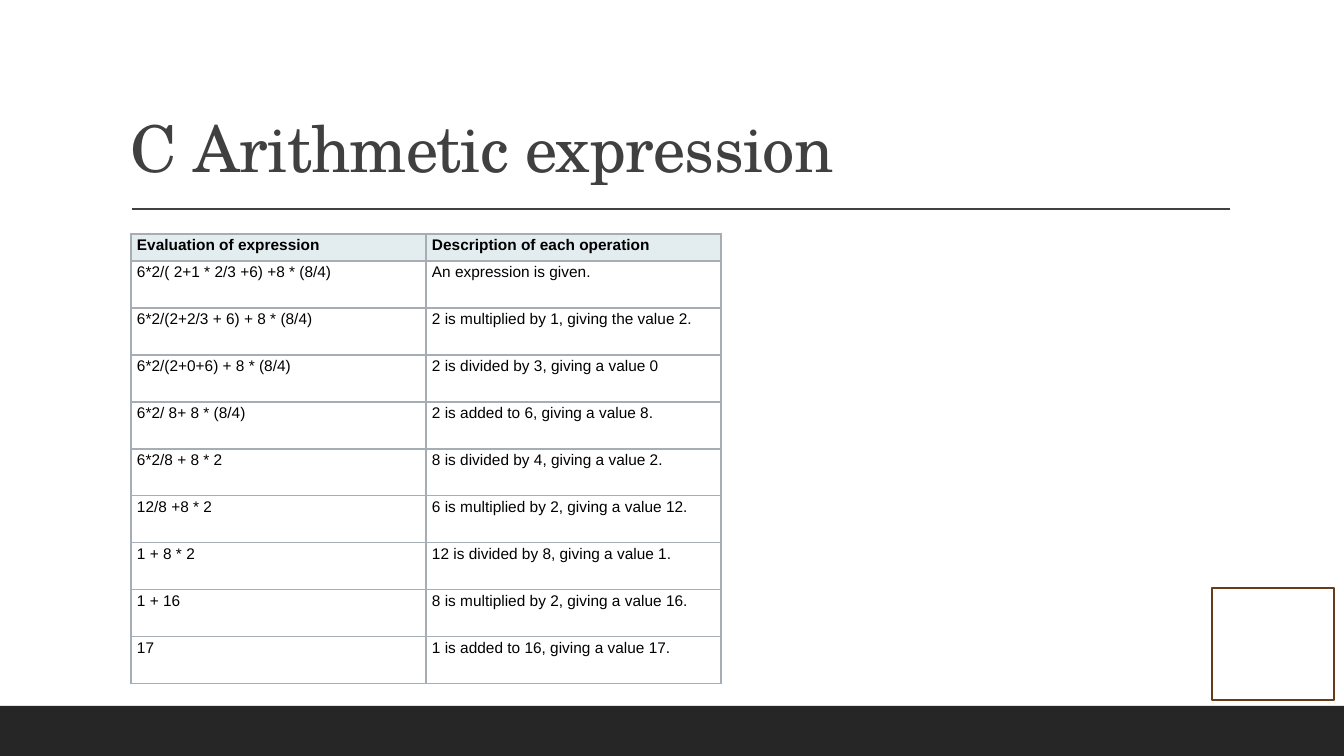
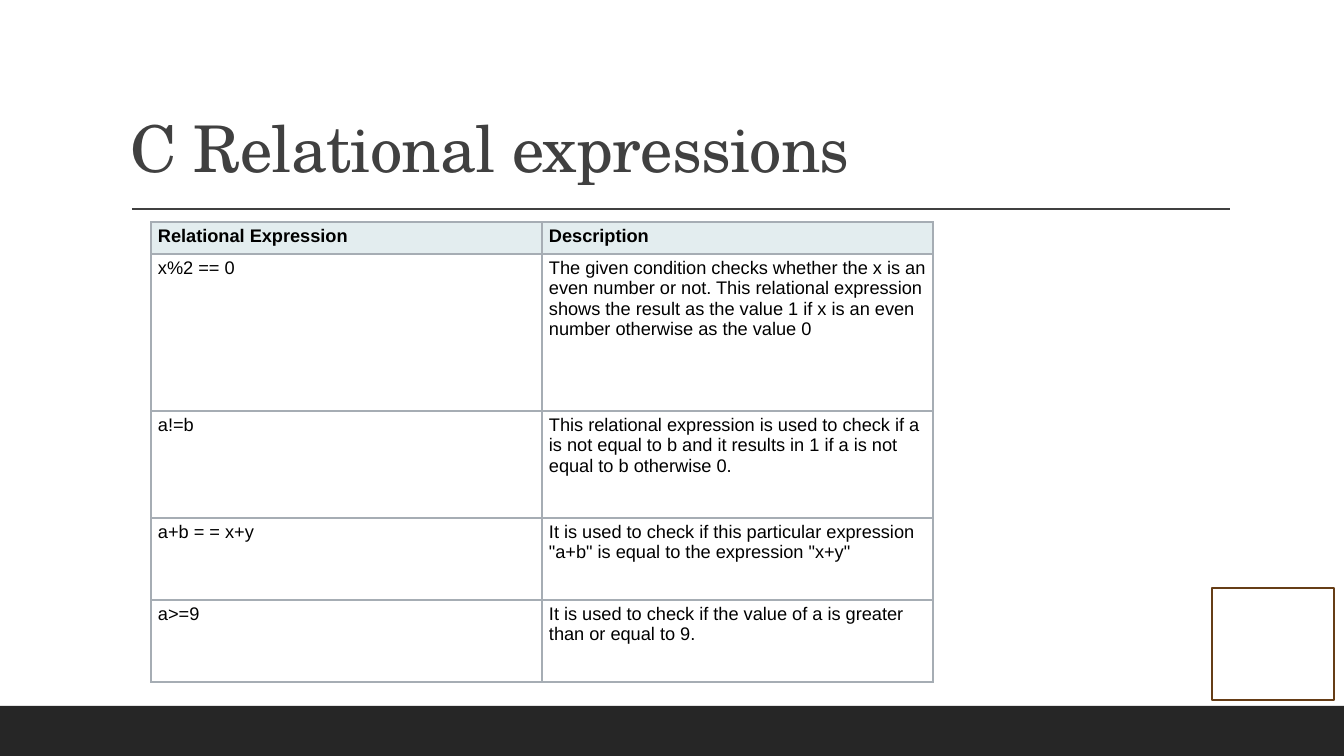
import dataclasses
import typing

import lxml.etree
import pptx
import pptx.dml.color
import pptx.enum.shapes
import pptx.enum.text
import pptx.oxml.ns
import pptx.util

SCALE = 12192000 / 1344
WIDE, HIGH = 1344, 756
DARK, INK, BROWN = "262626", "404040", "663D16"
BLACK, WHITE, HEAD, EDGE = "000000", "FFFFFF", "E3EDEF", "A6ADB4"
SERIF, SANS = "TeX Gyre Schola", "Arial"


@dataclasses.dataclass
class Grid:
    left: int
    top: int
    col: int
    rows: list[int]
    pad: tuple[int, int]
    size: int
    cells: list[tuple[str, str]]


@dataclasses.dataclass
class Page:
    title: str
    grid: Grid


PAGES = [
    Page("C Arithmetic expression", Grid(131, 234, 295, [27] + [47] * 9, (6, 3), 11, [
        ("Evaluation of expression", "Description of each operation"),
        ("6*2/( 2+1 * 2/3 +6) +8 * (8/4)", "An expression is given."),
        ("6*2/(2+2/3 + 6) + 8 * (8/4)", "2 is multiplied by 1, giving the value 2."),
        ("6*2/(2+0+6) + 8 * (8/4)", "2 is divided by 3, giving a value 0"),
        ("6*2/ 8+ 8 * (8/4)", "2 is added to 6, giving a value 8."),
        ("6*2/8 + 8 * 2", "8 is divided by 4, giving a value 2."),
        ("12/8 +8 * 2", "6 is multiplied by 2, giving a value 12."),
        ("1 + 8 * 2", "12 is divided by 8, giving a value 1."),
        ("1 + 16", "8 is multiplied by 2, giving a value 16."),
        ("17", "1 is added to 16, giving a value 17."),
    ])),
    Page("C Relational expressions", Grid(151, 222, 391, [32, 157, 107, 82, 82], (7, 4), 13, [
        ("Relational Expression", "Description"),
        ("x%2 == 0", "The given condition checks whether the x is an even number or not. "
         "This relational expression shows the result as the value 1 if x is an even "
         "number otherwise as the value 0"),
        ("a!=b", "This relational expression is used to check if a is not equal to b "
         "and it results in 1 if a is not equal to b otherwise 0."),
        ("a+b = = x+y", 'It is used to check if this particular expression "a+b" is '
         'equal to the expression "x+y"'),
        ("a>=9", "It is used to check if the value of a is greater than or equal to 9."),
    ])),
]


def px(num: int) -> int:
    return round(num * SCALE)


def tint(code: str) -> pptx.dml.color.RGBColor:
    return pptx.dml.color.RGBColor.from_string(code)


def write(frame: typing.Any, text: str, *, font: str, size: int, color: str,
          bold: bool = False, lead: float | None = None, track: int = 0) -> None:
    frame.word_wrap = True
    para = frame.paragraphs[0]
    para.line_spacing = lead
    run = para.add_run()
    run.text = text
    run.font.name = font
    run.font.size = pptx.util.Pt(size)
    run.font.bold = bold
    run.font.color.rgb = tint(color)
    if track:
        run._r.get_or_add_rPr().set("spc", str(track))


def box(slide: typing.Any, left: int, top: int, width: int, height: int,
        fill: str | None = None, line: str | None = None) -> None:
    shape = slide.shapes.add_shape(pptx.enum.shapes.MSO_SHAPE.RECTANGLE,
                                   px(left), px(top), px(width), px(height))
    shape.shadow.inherit = False
    if fill:
        shape.fill.solid()
        shape.fill.fore_color.rgb = tint(fill)
    else:
        shape.fill.background()
    if line:
        shape.line.color.rgb = tint(line)
        shape.line.width = pptx.util.Pt(1.25)
    else:
        shape.line.fill.background()


def rule(slide: typing.Any, left: int, right: int, top: int) -> None:
    line = slide.shapes.add_connector(pptx.enum.shapes.MSO_CONNECTOR.STRAIGHT,
                                      px(left), px(top), px(right), px(top))
    line.line.color.rgb = tint(INK)
    line.line.width = pptx.util.Pt(1)
    lxml.etree.SubElement(line._element.spPr, pptx.oxml.ns.qn("a:effectLst"))


def frame(slide: typing.Any, title: str) -> None:
    box(slide, 0, 706, WIDE, 50, fill=DARK)
    rule(slide, 132, 1230, 209)
    box(slide, 1212, 588, 122, 112, line=BROWN)
    area = slide.shapes.add_textbox(px(121), px(31), px(1109), px(160)).text_frame
    area.vertical_anchor = pptx.enum.text.MSO_ANCHOR.BOTTOM
    write(area, title, font=SERIF, size=46, color=INK, lead=0.9, track=-50)


def edge(cell: typing.Any) -> None:
    props = cell._tc.get_or_add_tcPr()
    for side in ("a:lnL", "a:lnR", "a:lnT", "a:lnB"):
        line = lxml.etree.SubElement(props, pptx.oxml.ns.qn(side), w=str(pptx.util.Pt(1)))
        fill = lxml.etree.SubElement(line, pptx.oxml.ns.qn("a:solidFill"))
        lxml.etree.SubElement(fill, pptx.oxml.ns.qn("a:srgbClr"), val=EDGE)


def table(slide: typing.Any, grid: Grid) -> None:
    tab = slide.shapes.add_table(len(grid.rows), 2, px(grid.left), px(grid.top),
                                 px(2 * grid.col), px(sum(grid.rows))).table
    tab.horz_banding = False
    for col in tab.columns:
        col.width = px(grid.col)
    for i, (high, texts) in enumerate(zip(grid.rows, grid.cells)):
        tab.rows[i].height = px(high)
        for j, text in enumerate(texts):
            cell = tab.cell(i, j)
            cell.margin_left = cell.margin_right = px(grid.pad[0])
            cell.margin_top = cell.margin_bottom = px(grid.pad[1])
            edge(cell)
            cell.fill.solid()
            cell.fill.fore_color.rgb = tint(WHITE if i else HEAD)
            write(cell.text_frame, text, font=SANS, size=grid.size, color=BLACK, bold=i == 0)


def main() -> None:
    deck = pptx.Presentation()
    deck.slide_width, deck.slide_height = px(WIDE), px(HIGH)
    for page in PAGES:
        slide = deck.slides.add_slide(deck.slide_layouts[6])
        frame(slide, page.title)
        table(slide, page.grid)
    deck.save("out.pptx")


if __name__ == "__main__":
    main()
